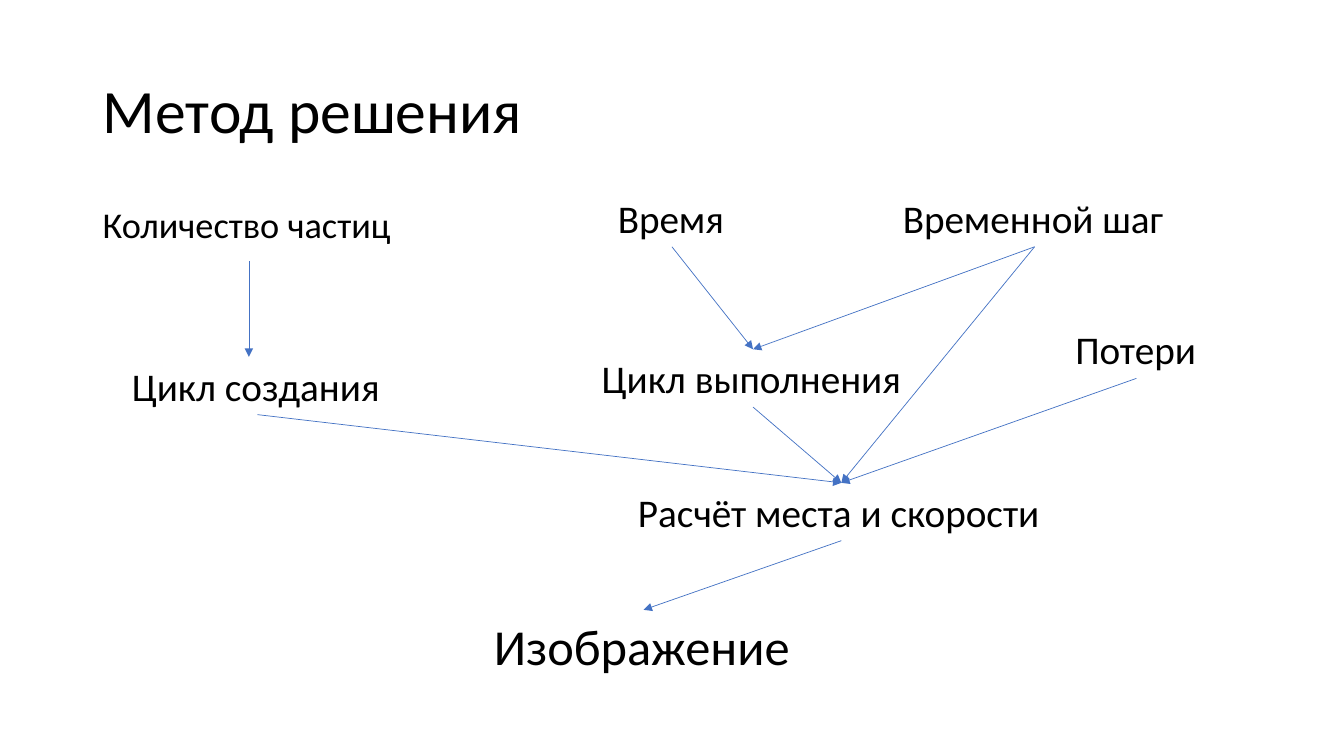
from dataclasses import dataclass

from lxml import etree
from pptx import Presentation
from pptx.dml.color import RGBColor
from pptx.enum.shapes import MSO_CONNECTOR
from pptx.enum.text import MSO_ANCHOR, MSO_AUTO_SIZE, PP_ALIGN
from pptx.oxml.ns import qn
from pptx.shapes.autoshape import Shape
from pptx.slide import Slide
from pptx.util import Inches, Pt

STRAIGHT = MSO_CONNECTOR.STRAIGHT
TOP, MIDDLE = MSO_ANCHOR.TOP, MSO_ANCHOR.MIDDLE
FIXED, GROW = MSO_AUTO_SIZE.NONE, MSO_AUTO_SIZE.SHAPE_TO_FIT_TEXT
LEFT = PP_ALIGN.LEFT

WIDTH, HEIGHT = Inches(13.333), Inches(7.5)


@dataclass(frozen=True)
class Theme:
    font: str = "Calibri"
    ink: RGBColor = RGBColor(0x00, 0x00, 0x00)
    line: RGBColor = RGBColor(0x44, 0x72, 0xC4)
    title: float = 44
    body: float = 25.9
    label: float = 28
    result: float = 36
    stroke: float = 0.5


@dataclass(frozen=True)
class Node:
    text: str
    mid: float
    top: float
    width: float
    height: float = 7.65
    size: float = Theme.label

    @property
    def left(self) -> float:
        return self.mid - self.width / 2

    @property
    def base(self) -> float:
        return self.top + self.height


@dataclass(frozen=True)
class Link:
    start: Node
    end: Node
    plumb: bool = False


THEME = Theme()
HEAD = Node("Метод решения", 50, 5.33, 86.2, 19.33, THEME.title)
COUNT = Node("Количество частиц", 18.52, 26.67, 23.25, 7.9, THEME.body)
TIME = Node("Время", 50, 25, 9.53)
STEP = Node("Временной шаг", 76.98, 25, 21.08)
MAKE = Node("Цикл создания", 19.16, 47.2, 20.18)
RUN = Node("Цикл выполнения", 56.03, 46.2, 24)
CALC = Node("Расчёт места и скорости", 62.6, 63.87, 31.73)
IMAGE = Node("Изображение", 47.89, 80.67, 23.78, 9.47, THEME.result)
LOSS = Node("Потери", 84.56, 42.4, 10.58)

LABELS = (TIME, STEP, MAKE, RUN, CALC, IMAGE, LOSS)
LINKS = (
    Link(COUNT, MAKE, plumb=True),
    Link(TIME, RUN),
    Link(STEP, RUN),
    Link(STEP, CALC),
    Link(MAKE, CALC),
    Link(RUN, CALC),
    Link(CALC, IMAGE),
    Link(LOSS, CALC),
)


def across(share: float) -> int:
    return round(WIDTH * share / 100)


def down(share: float) -> int:
    return round(HEIGHT * share / 100)


def write(shape: Shape, text: str, *, size: float, anchor=TOP, fit=FIXED,
          wrap: bool = True, lead: float = 1.0, before: float = 0) -> None:
    frame = shape.text_frame
    frame.text = text
    frame.word_wrap = wrap
    frame.auto_size = fit
    frame.vertical_anchor = anchor
    para = frame.paragraphs[0]
    para.alignment = LEFT
    para.line_spacing = lead
    para.space_before = Pt(before)
    font = para.runs[0].font
    font.name = THEME.font
    font.size = Pt(size)
    font.color.rgb = THEME.ink


def place(shape: Shape, node: Node) -> None:
    shape.left, shape.top = across(node.left), down(node.top)
    shape.width, shape.height = across(node.width), down(node.height)


def strip(shape: Shape) -> None:
    props = shape.text_frame.paragraphs[0]._p.get_or_add_pPr()
    props.set("marL", "0")
    props.set("indent", "0")
    etree.SubElement(props, qn("a:buNone"))


def label(slide: Slide, node: Node) -> None:
    box = slide.shapes.add_textbox(0, 0, 0, 0)
    place(box, node)
    write(box, node.text, size=node.size, fit=GROW, wrap=False)


def arrow(slide: Slide, link: Link) -> None:
    goal = link.start.mid if link.plumb else link.end.mid
    line = slide.shapes.add_connector(
        STRAIGHT, across(link.start.mid), down(link.start.base),
        across(goal), down(link.end.top))
    line.line.color.rgb = THEME.line
    line.line.width = Pt(THEME.stroke)
    etree.SubElement(line.line._get_or_add_ln(), qn("a:tailEnd"), type="triangle")
    etree.SubElement(line._element.spPr, qn("a:effectLst"))


def main() -> None:
    deck = Presentation()
    deck.slide_width, deck.slide_height = WIDTH, HEIGHT
    slide = deck.slides.add_slide(deck.slide_layouts[1])

    title, body = slide.shapes.title, slide.placeholders[1]
    place(title, HEAD)
    write(title, HEAD.text, size=HEAD.size, anchor=MIDDLE, lead=0.9)
    place(body, COUNT)
    write(body, COUNT.text, size=COUNT.size, lead=0.9, before=10)
    strip(body)

    for node in LABELS:
        label(slide, node)
    for link in LINKS:
        arrow(slide, link)
    deck.save("out.pptx")


if __name__ == "__main__":
    main()
